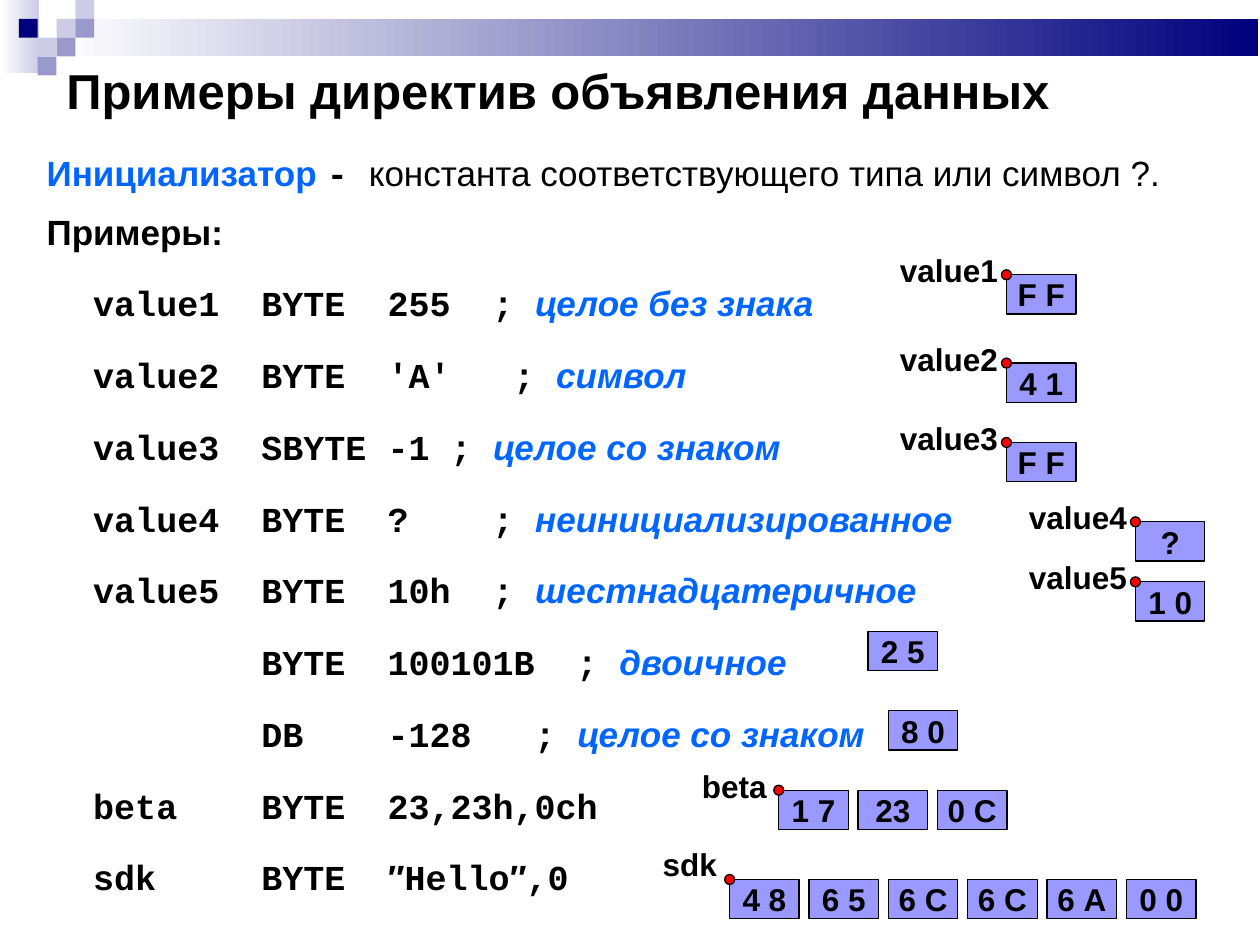
"""Build the slide on data declaration directives."""
import pptx
import pptx.dml.color
import pptx.enum.shapes
import pptx.enum.text
import pptx.util

Cm = pptx.util.Cm
Pt = pptx.util.Pt
KIND = pptx.enum.shapes.MSO_SHAPE
ALIGN = pptx.enum.text.PP_ALIGN
ANCHOR = pptx.enum.text.MSO_ANCHOR
HUE = {
    "black": "000000", "white": "FFFFFF", "navy": "00007D", "pale": "CCCCE6",
    "mid": "9999CC", "cell": "9999FF", "red": "FF0000", "blue": "0066FF",
}
MONO = "Courier New"
UNIT = 0.38
TILES = {
    "pale": [(3, 1), (4, 0), (2, 2)],
    "mid": [(4, 1), (3, 2), (2, 3)],
    "navy": [(1, 1)],
}
CODE = [
    ("value1  BYTE  255  ; ", "целое без знака"),
    ("value2  BYTE  ′A′   ; ", "символ"),
    ("value3  SBYTE -1 ; ", "целое со знаком"),
    ("value4  BYTE  ?    ; ", "неинициализированное"),
    ("value5  BYTE  10h  ; ", "шестнадцатеричное"),
    ("        BYTE  100101B  ; ", "двоичное"),
    ("        DB    -128   ; ", "целое со знаком"),
    ("beta    BYTE  23,23h,0ch", ""),
]
BYTES = [
    (20.29, 5.54, ["F F"]),
    (20.29, 7.32, ["4 1"]),
    (20.29, 8.92, ["F F"]),
    (22.89, 10.52, ["?"]),
    (22.89, 11.73, ["1 0"]),
    (17.5, 12.73, ["2 5"]),
    (17.91, 14.33, ["8 0"]),
    (15.7, 15.93, ["1 7", "23", "0 С"]),
    (14.71, 17.73, ["4 8", "6 5", "6 С", "6 С", "6 А", "0 0"]),
]
NAMES = [
    ("value1", 0, 2.4, 0.6), ("value2", 1, 2.4, 0.6), ("value3", 2, 2.4, 0.6),
    ("value4", 3, 2.4, 0.6), ("value5", 4, 2.4, 0.6),
    ("beta", 7, 1.8, 0.6), ("sdk", 8, 1.6, 0.81),
]


def tint(name):
    """Return a named colour."""
    return pptx.dml.color.RGBColor.from_string(HUE[name])


def write(para, text, size=18, font="Arial", hue="black", bold=True, slant=False):
    """Add a run of formatted text to a paragraph."""
    run = para.add_run()
    run.text = text
    run.font.size = Pt(size)
    run.font.name = font
    run.font.bold = bold
    run.font.italic = slant
    run.font.color.rgb = tint(hue)


def shape(slide, kind, left, top, width, height, hue, edge=False):
    """Add a flat shape, with a thin black edge on demand."""
    item = slide.shapes.add_shape(kind, Cm(left), Cm(top), Cm(width), Cm(height))
    item.shadow.inherit = False
    item.fill.solid()
    item.fill.fore_color.rgb = tint(hue)
    if edge:
        item.line.color.rgb = tint("black")
        item.line.width = Pt(0.75)
    else:
        item.line.fill.background()
    return item


def fade(item, hue):
    """Fill a shape with a blend from white on the left to a colour."""
    item.fill.gradient()
    item.fill.gradient_angle = 180
    for stop, name in zip(item.fill.gradient_stops, (hue, "white")):
        stop.color.rgb = tint(name)


def block(slide, left, top, width, height, wrap=True):
    """Add a text box and return its frame."""
    box = slide.shapes.add_textbox(Cm(left), Cm(top), Cm(width), Cm(height))
    box.text_frame.word_wrap = wrap
    return box.text_frame


def frieze(slide):
    """Draw the band and the tiles along the top edge."""
    fade(shape(slide, KIND.RECTANGLE, 0, 0, 0.79, 1.47, "pale"), "pale")
    fade(shape(slide, KIND.RECTANGLE, 3 * UNIT, UNIT, 24.23, 2 * UNIT, "navy"), "navy")
    for hue, spots in TILES.items():
        for col, row in spots:
            shape(slide, KIND.RECTANGLE, col * UNIT, row * UNIT, UNIT, UNIT, hue)


def line(frame, space=None):
    """Add a hanging paragraph to a frame."""
    para = frame.add_paragraph()
    para.space_before = Pt(5)
    para.line_spacing = space
    hang(para)
    return para


def hang(para):
    """Give a paragraph a hanging indent."""
    props = para._p.get_or_add_pPr()
    props.set("marL", str(Cm(0.94)))
    props.set("indent", str(-Cm(0.94)))


def body(slide):
    """Write the definition and the code examples."""
    frame = block(slide, 0.69, 2.92, 24.71, 16.13)
    para = frame.paragraphs[0]
    hang(para)
    write(para, "Инициализатор ", size=20, hue="blue")
    write(para, "- ", size=20, font=MONO)
    write(para, "константа соответствующего типа или символ ?.", size=20, bold=False)
    write(line(frame, 1.2), "Примеры:", size=20)
    for code, note in CODE:
        para = line(frame, 1.5)
        write(para, "\t" + code, size=20, font=MONO)
        if note:
            write(para, note, size=20, hue="blue", slant=True)
    para = line(frame, 1.5)
    for text, font in [("\tsdk     BYTE  ", MONO), ("″", "Arial"),
                       ("Hello", MONO), ("″", "Arial"), (",0", MONO)]:
        write(para, text, size=20, font=font)


def cell(slide, left, top, text):
    """Draw one byte of memory."""
    item = shape(slide, KIND.RECTANGLE, left, top, 1.4, 0.79, "cell", edge=True)
    frame = item.text_frame
    frame.word_wrap = False
    frame.vertical_anchor = ANCHOR.MIDDLE
    frame.paragraphs[0].alignment = ALIGN.CENTER
    write(frame.paragraphs[0], text)


def label(slide, name, row, back, rise):
    """Name a row of bytes and mark its first address with a dot."""
    left, top, _ = BYTES[row]
    frame = block(slide, left - back, top - rise, back + 0.08, 1.02, wrap=False)
    write(frame.paragraphs[0], name)
    shape(slide, KIND.OVAL, left - 0.1, top - 0.1, 0.2, 0.2, "red", edge=True)


def main():
    """Build and save the slide."""
    deck = pptx.Presentation()
    deck.slide_width, deck.slide_height = Cm(25.4), Cm(19.05)
    slide = deck.slides.add_slide(deck.slide_layouts[6])
    frieze(slide)
    title = block(slide, 1.09, 1.09, 24.31, 1.45)
    title.vertical_anchor = ANCHOR.MIDDLE
    write(title.paragraphs[0], "Примеры директив объявления данных", size=28)
    body(slide)
    for left, top, texts in BYTES:
        for step, text in enumerate(texts):
            cell(slide, left + 1.6 * step, top, text)
    for name in NAMES:
        label(slide, *name)
    deck.save("out.pptx")


if __name__ == "__main__":
    main()
